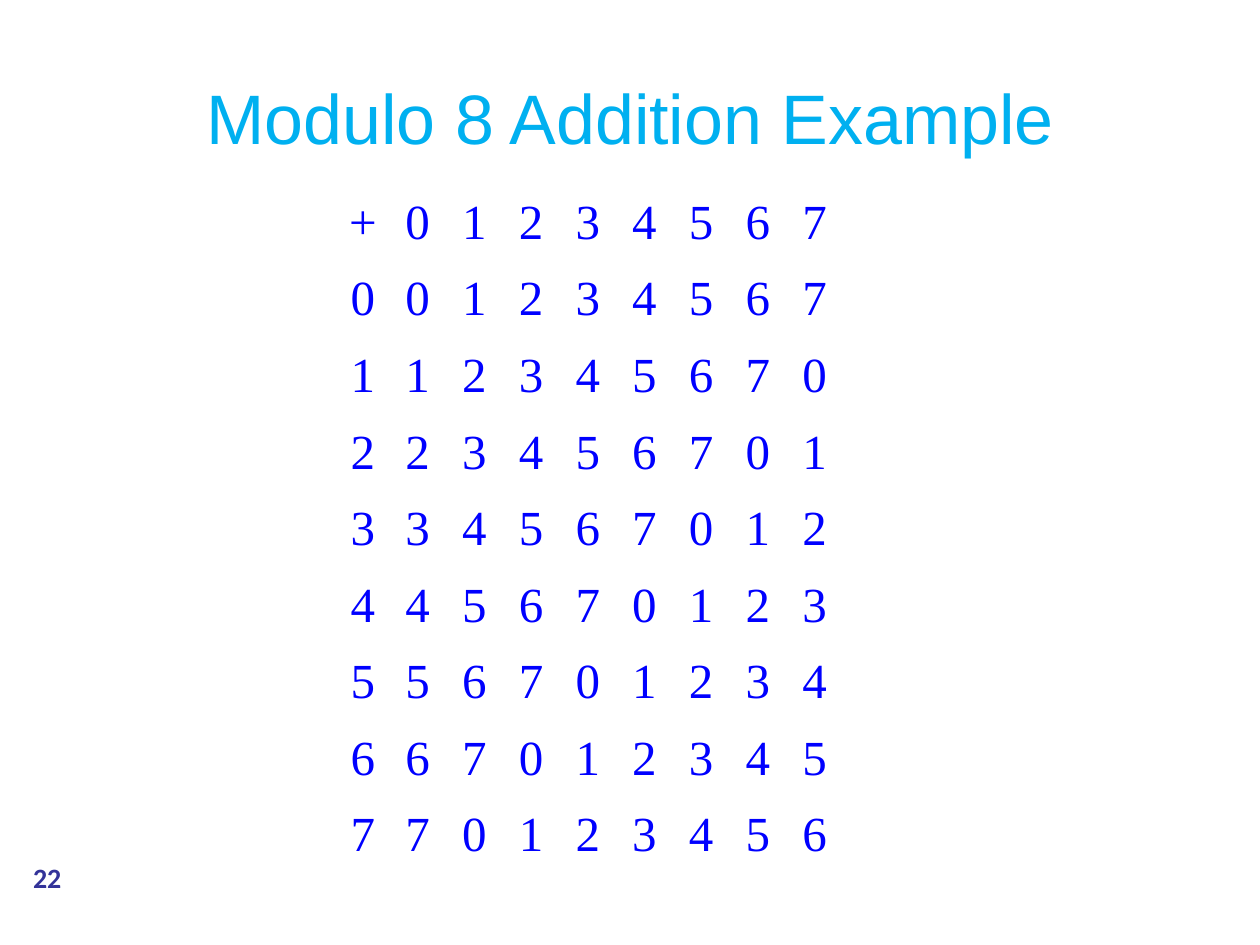
from pptx import Presentation
from pptx.dml.color import RGBColor
from pptx.enum.shapes import MSO_SHAPE as Shape
from pptx.enum.text import MSO_ANCHOR as Anchor, PP_ALIGN as Align
from pptx.util import Inches, Pt

WHITE = RGBColor(0xFF, 0xFF, 0xFF)
SKY = RGBColor(0x00, 0xB0, 0xF0)
BLUE = RGBColor(0x00, 0x00, 0xFF)
INDIGO = RGBColor(0x33, 0x33, 0x99)
MODULUS = 8


def write(frame, text, font, size, color, bold=False):
    frame.text = text
    para = frame.paragraphs[0]
    para.alignment = Align.CENTER
    span = para.runs[0].font
    span.name, span.size, span.bold = font, Pt(size), bold
    span.color.rgb = color
    return para


deck = Presentation()
deck.slide_width, deck.slide_height = Inches(10), Inches(7.5)
page = deck.slides.add_slide(deck.slide_layouts[5])

# Title
title = page.shapes.title
title.left, title.top = Inches(0.5), Inches(0.3)
title.width, title.height = Inches(9), Inches(1.25)
title.text_frame.vertical_anchor = Anchor.MIDDLE
write(title.text_frame, "Modulo 8 Addition Example", "Arial", 40, SKY)

# Page number
badge = page.shapes.add_shape(
    Shape.OVAL, Inches(0), Inches(6.8), Inches(0.75), Inches(0.33))
badge.shadow.inherit = False
badge.fill.solid()
badge.fill.fore_color.rgb = WHITE
badge.line.color.rgb = WHITE
badge.line.width = Pt(2)
frame = badge.text_frame
frame.margin_left = frame.margin_right = frame.margin_top = frame.margin_bottom = 0
frame.vertical_anchor = Anchor.MIDDLE
write(frame, "22", "Calibri", 16, INDIGO, bold=True)

# Addition table: a header row and column around the sums
size = MODULUS + 1
table = page.shapes.add_table(
    size, size, Inches(2.67), Inches(1.5), Inches(4.02), Inches(5.47)).table
table.first_row = table.horz_banding = False
for index in range(size):
    table.columns[index].width = Inches(0.45 if index else 0.42)
    table.rows[index].height = Inches(5.47 / size)

for row in range(size):
    for column in range(size):
        # Headers hold index - 1, so they act as adding zero
        total = (max(row - 1, 0) + max(column - 1, 0)) % MODULUS
        cell = table.cell(row, column)
        cell.fill.background()
        cell.margin_left = cell.margin_right = Inches(0.1)
        cell.margin_top, cell.margin_bottom = Inches(0.08), Inches(0.05)
        text = str(total) if row or column else "+"
        para = write(cell.text_frame, text, "Times New Roman", 28, BLUE)
        para.line_spacing = 0.93
        para.space_before = para.space_after = Pt(3)

deck.save("out.pptx")
